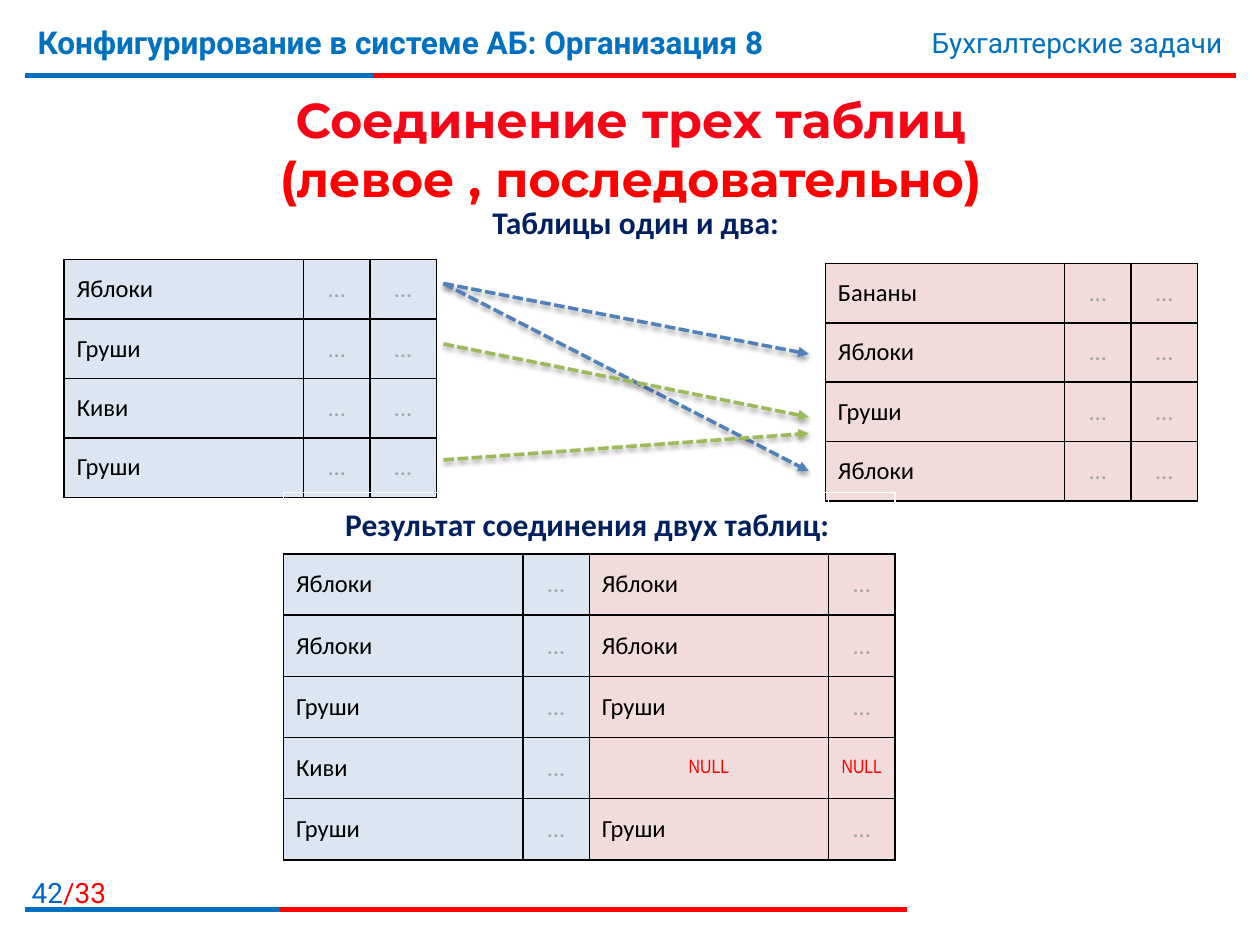
import dataclasses

import lxml.etree
import pptx
import pptx.dml.color
import pptx.enum.dml
import pptx.enum.shapes
import pptx.enum.text
import pptx.oxml.ns
import pptx.util

ALIGN = pptx.enum.text.PP_ALIGN
ANCHOR = pptx.enum.text.MSO_ANCHOR


@dataclasses.dataclass(frozen=True)
class Theme:
    blue: str = "0070C0"
    page_blue: str = "0066CC"
    red: str = "FF0000"
    title_red: str = "F50516"
    navy: str = "002060"
    black: str = "000000"
    white: str = "FFFFFF"
    grey: str = "A6A6A6"
    left_fill: str = "DCE6F2"
    right_fill: str = "F2DCDB"
    apple_arrow: str = "4F81BD"
    pear_arrow: str = "9BBB59"
    frame_font: str = "Roboto"
    title_font: str = "Montserrat"
    body_font: str = "Calibri"
    null_font: str = "Arial Narrow"
    title_size: int = 28
    heading_size: int = 18
    frame_size: int = 16
    cell_size: int = 14
    null_size: int = 11


def rgb(color):
    return pptx.dml.color.RGBColor.from_string(color)


def add_xml(parent, tag, **attributes):
    return lxml.etree.SubElement(parent, pptx.oxml.ns.qn(tag), attributes)


class SlideBuilder:
    """Places elements on a grid of 100 columns by 75 rows."""

    def __init__(self, deck, theme):
        self.theme = theme
        self.page = deck.slides.add_slide(deck.slide_layouts[6])
        self.column = deck.slide_width / 100
        self.row = deck.slide_height / 75

    def x(self, columns):
        return pptx.util.Emu(round(columns * self.column))

    def y(self, rows):
        return pptx.util.Emu(round(rows * self.row))

    def style(self, span, size, font, color, bold=False):
        span.font.size = pptx.util.Pt(size)
        span.font.name = font
        span.font.bold = bold
        span.font.color.rgb = rgb(color)

    def text(self, area, parts, size, font, bold=False, align=ALIGN.LEFT,
             anchor=ANCHOR.TOP, wrap=True):
        """Parts are (text, color) pairs; a part may end in a line break."""
        left, top, width, height = area
        box = self.page.shapes.add_textbox(self.x(left), self.y(top), self.x(width), self.y(height))
        frame = box.text_frame
        frame.word_wrap = wrap
        frame.vertical_anchor = anchor
        para = frame.paragraphs[0]
        para.alignment = align
        for words, color in parts:
            span = para.add_run()
            span.text = words.rstrip("\n")
            self.style(span, size, font, color, bold)
            if words.endswith("\n"):
                para.add_line_break()

    def line(self, start, end, color, width):
        connector = self.page.shapes.add_connector(
            pptx.enum.shapes.MSO_CONNECTOR.STRAIGHT,
            self.x(start[0]), self.y(start[1]), self.x(end[0]), self.y(end[1]))
        connector.line.color.rgb = rgb(color)
        connector.line.width = pptx.util.Pt(width)
        effects = add_xml(connector._element.spPr, "a:effectLst")
        return connector, effects

    def rule(self, row, blue_end, red_end):
        for end, color in ((red_end, self.theme.red), (blue_end, self.theme.blue)):
            self.line((2, row), (end, row), color, 3)

    def arrow(self, start, end, color):
        connector, effects = self.line(start, end, color, 2)
        connector.line.dash_style = pptx.enum.dml.MSO_LINE.SQUARE_DOT
        add_xml(connector.line._get_or_add_ln(), "a:tailEnd", type="triangle")
        shadow = add_xml(effects, "a:outerShdw", blurRad=str(pptx.util.Pt(3.1)),
                         dist=str(pptx.util.Pt(1.6)), dir="5400000", rotWithShape="0")
        shade = add_xml(shadow, "a:srgbClr", val=self.theme.black)
        add_xml(shade, "a:alpha", val="38000")

    def borders(self, cell, edge, bottom):
        properties = cell._tc.get_or_add_tcPr()
        for place, side in enumerate("LRTB"):
            line = add_xml(properties, f"a:ln{side}", w=str(pptx.util.Pt(1)))
            fill = add_xml(line, "a:solidFill")
            add_xml(fill, "a:srgbClr", val=bottom if side == "B" else edge)
            properties.insert(place, line)

    def fill_cell(self, cell, words, color):
        theme = self.theme
        cell.fill.solid()
        cell.fill.fore_color.rgb = rgb(color)
        cell.vertical_anchor = ANCHOR.MIDDLE
        cell.text_frame.text = words
        para = cell.text_frame.paragraphs[0]
        para.alignment = ALIGN.CENTER if words in ("…", "NULL") else ALIGN.LEFT
        if words == "NULL":
            self.style(para.runs[0], theme.null_size, theme.null_font, theme.red)
        else:
            ink = theme.grey if words == "…" else theme.black
            self.style(para.runs[0], theme.cell_size, theme.body_font, ink)

    def table(self, left, top, row_height, widths, fills, rows):
        """A row of None is an open row without text or fill."""
        height = row_height * len(rows)
        table = self.page.shapes.add_table(
            len(rows), len(widths), self.x(left), self.y(top),
            self.x(sum(widths)), self.y(height)).table
        table.first_row = table.horz_banding = False
        for column, width in zip(table.columns, widths):
            column.width = self.x(width)
        for row, words in zip(table.rows, rows):
            row.height = self.y(row_height)
            for index, cell in enumerate(row.cells):
                if words is None:
                    cell.fill.background()
                    self.borders(cell, self.theme.white, self.theme.black)
                else:
                    self.fill_cell(cell, words[index], fills[index])
                    self.borders(cell, self.theme.black, self.theme.black)


def main():
    deck = pptx.Presentation()
    deck.slide_width = pptx.util.Inches(10)
    deck.slide_height = pptx.util.Inches(7.5)
    theme = Theme()
    slide = SlideBuilder(deck, theme)

    # Header and footer
    slide.rule(6, 29.6, 98.1)
    slide.rule(72.2, 22.2, 72)
    slide.text((0, 69, 9.4, 3.2), [("42", theme.page_blue), ("/33", theme.red)],
               theme.frame_size, theme.frame_font, align=ALIGN.RIGHT)
    slide.text((2, 1.3, 74, 6.2), [("Конфигурирование в системе АБ: Организация 8", theme.blue)],
               theme.heading_size, theme.frame_font, bold=True)
    slide.text((59.4, 1.5, 38.6, 3.7), [("Бухгалтерские задачи", theme.blue)],
               theme.frame_size, theme.frame_font, align=ALIGN.RIGHT)

    # Title
    slide.text((2, 6, 96.1, 11.5),
               [("Соединение трех таблиц\n", theme.title_red),
                ("(левое , последовательно)", theme.red)],
               theme.title_size, theme.title_font, bold=True,
               align=ALIGN.CENTER, anchor=ANCHOR.MIDDLE)

    # Source tables
    name, detail = 19, 5.27
    sources = (
        (5.1, 20.6, theme.left_fill, ("Яблоки", "Груши", "Киви", "Груши")),
        (65.5, 20.9, theme.right_fill, ("Бананы", "Яблоки", "Груши", "Яблоки")),
    )
    for left, top, fill, fruits in sources:
        slide.table(left, top, 4.72, (name, detail, detail), [fill] * 3,
                    [(fruit, "…", "…") for fruit in fruits])

    # Result table
    matches = (("Яблоки", "Яблоки"), ("Яблоки", "Яблоки"), ("Груши", "Груши"),
               ("Киви", "NULL"), ("Груши", "Груши"))
    rows = [(left, "…", right, "NULL" if right == "NULL" else "…") for left, right in matches]
    slide.table(22.5, 39.1, 4.86, (name, detail) * 2,
                [theme.left_fill] * 2 + [theme.right_fill] * 2, [None] + rows)

    # Table headings
    for area, words in (((38.1, 15.6, 25, 4), "Таблицы один и два:"),
                        ((26.4, 39.6, 40.8, 4), "Результат соединения двух таблиц:")):
        slide.text(area, [(words, theme.navy)], theme.heading_size, theme.body_font,
                   bold=True, wrap=False)

    # Arrows between matching rows
    for start, end, color in ((22.5, 28.1, theme.apple_arrow), (22.5, 37.4, theme.apple_arrow),
                              (27.3, 33.1, theme.pear_arrow), (36.5, 34.4, theme.pear_arrow)):
        slide.arrow((35.2, start), (64.2, end), color)

    deck.save("out.pptx")


if __name__ == "__main__":
    main()
